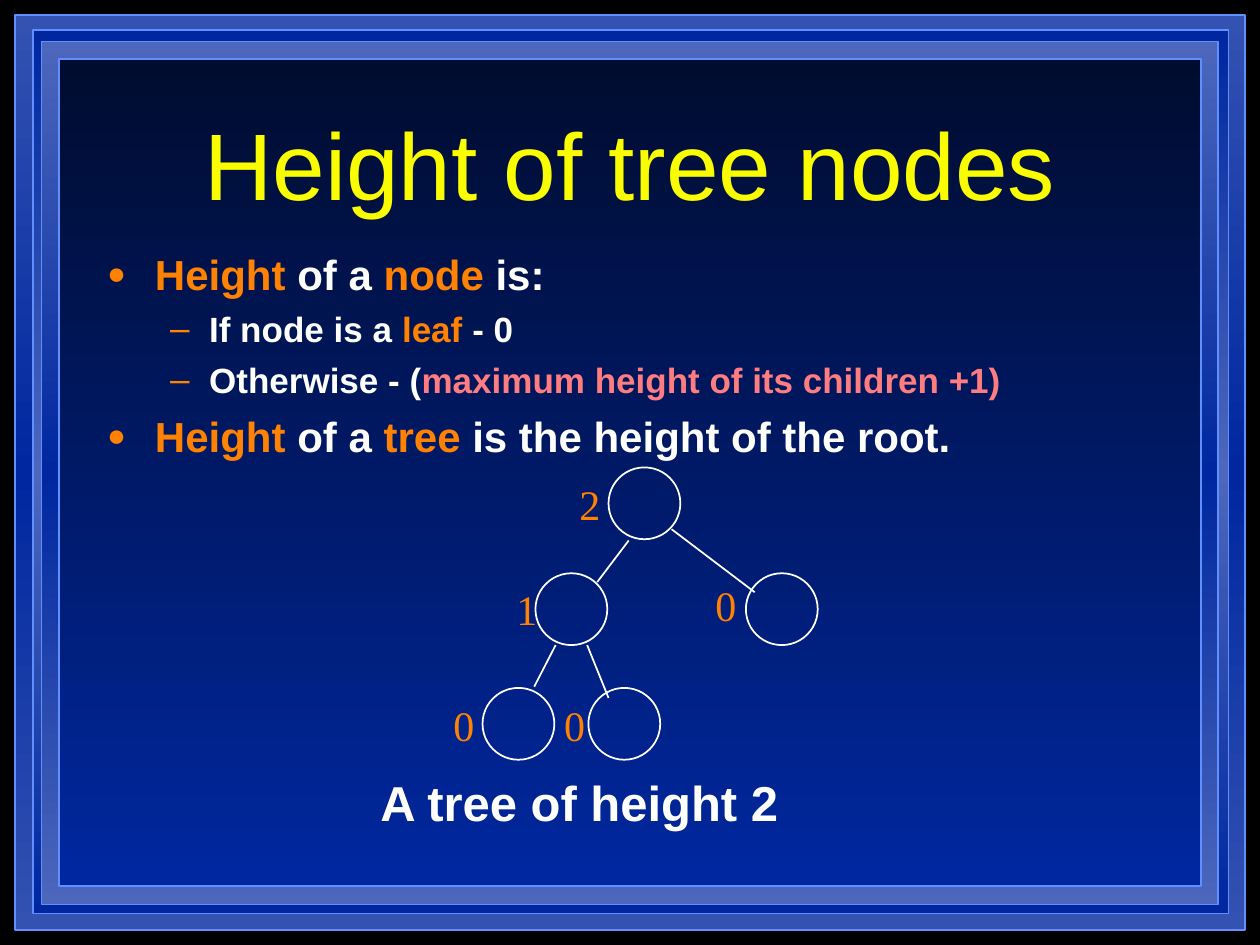
from dataclasses import dataclass

from lxml.etree import SubElement
from pptx import Presentation
from pptx.dml.color import RGBColor
from pptx.enum.shapes import MSO_CONNECTOR, MSO_SHAPE
from pptx.enum.text import MSO_ANCHOR as Anchor, MSO_AUTO_SIZE as AutoSize, PP_ALIGN as Align
from pptx.oxml.ns import qn
from pptx.util import Inches, Pt


@dataclass(frozen=True)
class Theme:
    black: str = "000000"
    white: str = "FFFFFF"
    yellow: str = "FAFD00"
    orange: str = "FF8203"
    pink: str = "FF7C80"
    edge: str = "618FFD"
    night: str = "000C2F"
    blue: str = "00279F"
    mid_blue: str = "3352B2"
    pale_blue: str = "4C67BC"
    sans: str = "Arial"
    serif: str = "Times New Roman"
    title_size: int = 54
    caption_size: int = 28
    label_size: int = 24
    level_sizes: tuple = (24, 20)


theme = Theme()


def set_font(font, name, size, color, bold=False):
    font.name = name
    font.size = Pt(size)
    font.bold = bold
    font.color.rgb = RGBColor.from_string(color)


def add_bullet(para, char, percent, left, hanging):
    """Give the paragraph an orange bullet with a hanging indent."""
    props = para._p.get_or_add_pPr()
    props.set("marL", str(Inches(left)))
    props.set("indent", str(-Inches(hanging)))
    color = SubElement(props, qn("a:buClr"))
    SubElement(color, qn("a:srgbClr"), val=theme.orange)
    SubElement(props, qn("a:buSzPct"), val=str(percent * 1000))
    SubElement(props, qn("a:buFont"), typeface=theme.sans)
    SubElement(props, qn("a:buChar"), char=char)


deck = Presentation()
deck.slide_width, deck.slide_height = Inches(10), Inches(7.5)
page = deck.slides.add_slide(deck.slide_layouts[1])
page.background.fill.solid()
page.background.fill.fore_color.rgb = RGBColor.from_string(theme.black)

# Nested frames, each with a vertical gradient
frames = [
    (0.12, 0.12, 9.76, 7.26, (theme.mid_blue, theme.blue, theme.mid_blue)),
    (0.26, 0.24, 9.49, 7.01, (theme.blue, theme.pale_blue, theme.blue)),
    (0.33, 0.33, 9.34, 6.85, (theme.pale_blue, theme.blue, theme.pale_blue)),
    (0.47, 0.47, 9.06, 6.56, (theme.night, theme.blue)),
]
for *place, colors in frames:
    frame = page.shapes.add_shape(MSO_SHAPE.RECTANGLE, *map(Inches, place))
    frame.shadow.inherit = False
    frame.line.color.rgb = RGBColor.from_string(theme.edge)
    frame.line.width = Pt(1)
    frame.fill.gradient()
    frame.fill.gradient_angle = 270
    stops = frame._element.spPr.find(qn("a:gradFill")).find(qn("a:gsLst"))
    stops.clear()
    for index, color in enumerate(colors):
        position = 100000 * index // (len(colors) - 1)
        stop = SubElement(stops, qn("a:gs"), pos=str(position))
        SubElement(stop, qn("a:srgbClr"), val=color)

# Title and body lie in front of the frames
title, body = page.shapes.title, page.placeholders[1]
for holder, top, height, anchor in ((title, 0.67, 1.25, Anchor.MIDDLE), (body, 1.92, 4.75, Anchor.TOP)):
    page.shapes._spTree.append(holder._element)
    holder.left, holder.top = Inches(0.75), Inches(top)
    holder.width, holder.height = Inches(8.5), Inches(height)
    holder.text_frame.auto_size = AutoSize.NONE
    holder.text_frame.vertical_anchor = anchor

title.text_frame.text = "Height of tree nodes"
heading = title.text_frame.paragraphs[0]
heading.alignment = Align.CENTER
set_font(heading.font, theme.sans, theme.title_size, theme.yellow)

level_bullets = [("●", 75, 0.38, 0.38), ("–", 100, 0.81, 0.31)]
level_gaps = [6, 5]
points = [
    (0, [("Height", theme.orange), (" of a ", theme.white), ("node", theme.orange), (" is:", theme.white)]),
    (1, [("If node is a ", theme.white), ("leaf ", theme.orange), ("- 0", theme.white)]),
    (1, [("Otherwise - (", theme.white), ("maximum height of its children +1)", theme.pink)]),
    (0, [("Height", theme.orange), (" of a ", theme.white), ("tree", theme.orange),
         (" is the height of the root.", theme.white)]),
]
for index, (level, spans) in enumerate(points):
    para = body.text_frame.add_paragraph() if index else body.text_frame.paragraphs[0]
    para.level = level
    add_bullet(para, *level_bullets[level])
    para.space_before = Pt(level_gaps[level] if index else 0)
    set_font(para.font, theme.sans, theme.level_sizes[level], theme.white, bold=True)
    for text, color in spans:
        span = para.add_run()
        span.text = text
        span.font.color.rgb = RGBColor.from_string(color)

# Tree: node left and top, then its height label with left and top
node_size = 0.57
nodes = [
    (4.83, 3.71, "2", 4.5, 3.75),
    (4.25, 4.55, "1", 4.0, 4.58),
    (5.92, 4.55, "0", 5.58, 4.55),
    (3.83, 5.46, "0", 3.5, 5.5),
    (4.67, 5.46, "0", 4.38, 5.5),
]
for left, top, height_label, label_left, label_top in nodes:
    node = page.shapes.add_shape(
        MSO_SHAPE.OVAL, Inches(left), Inches(top), Inches(node_size), Inches(node_size))
    node.shadow.inherit = False
    node.fill.background()
    node.line.color.rgb = RGBColor.from_string(theme.white)
    node.line.width = Pt(1)

    label = page.shapes.add_textbox(Inches(label_left), Inches(label_top), Inches(0.36), Inches(0.5))
    label.text_frame.word_wrap = False
    label.text_frame.auto_size = AutoSize.SHAPE_TO_FIT_TEXT
    label.text_frame.text = height_label
    set_font(label.text_frame.paragraphs[0].font, theme.serif, theme.label_size, theme.orange)

branches = [
    (4.99, 4.29, 4.74, 4.62),
    (5.33, 4.2, 5.99, 4.7),
    (4.41, 5.12, 4.24, 5.45),
    (4.66, 5.12, 4.83, 5.54),
]
for ends in branches:
    branch = page.shapes.add_connector(MSO_CONNECTOR.STRAIGHT, *map(Inches, ends))
    branch.line.color.rgb = RGBColor.from_string(theme.white)
    branch.line.width = Pt(1)
    SubElement(branch._element.spPr, qn("a:effectLst"))

caption = page.shapes.add_textbox(Inches(2.92), Inches(6.08), Inches(4.5), Inches(0.57))
caption.text_frame.word_wrap = True
caption.text_frame.text = "A tree of height 2"
set_font(caption.text_frame.paragraphs[0].font, theme.sans, theme.caption_size, theme.white, bold=True)

deck.save("out.pptx")
